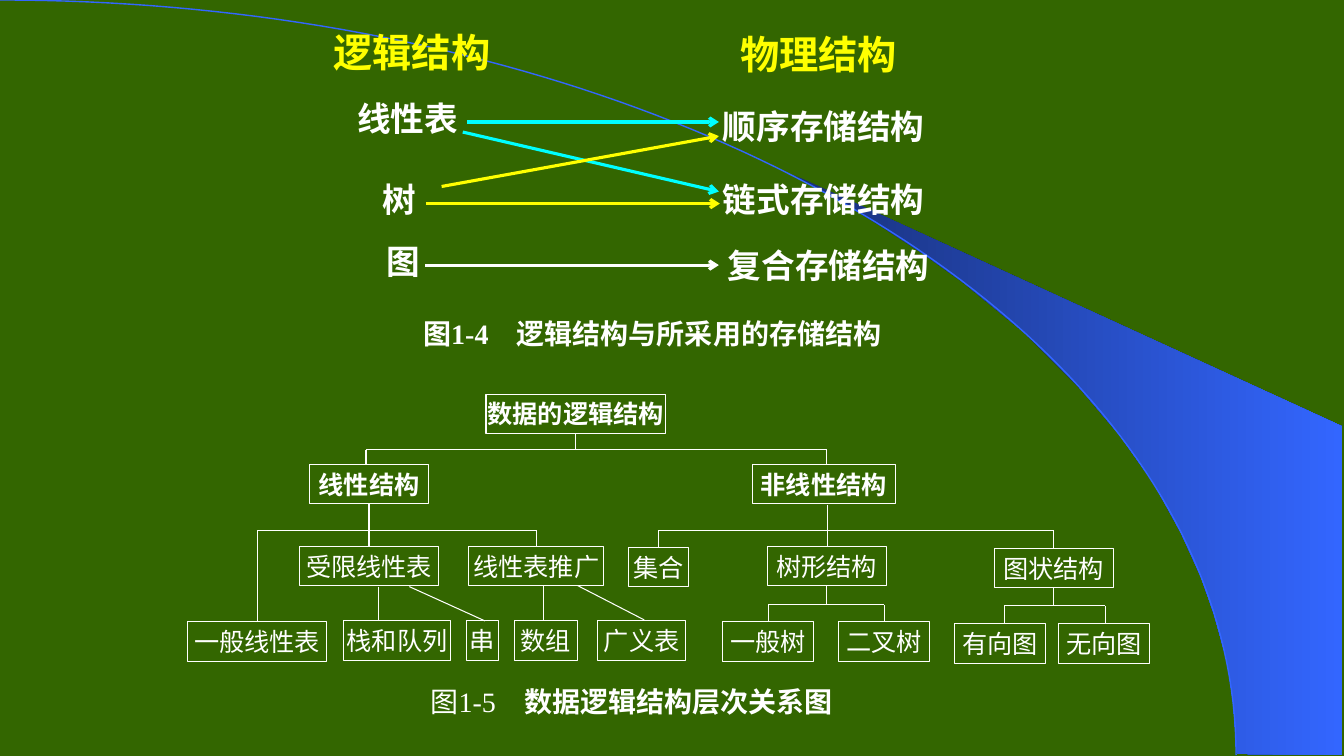
import math

import lxml.etree
import pptx
import pptx.dml.color
import pptx.enum.shapes
import pptx.enum.text
import pptx.oxml.ns
import pptx.util

PX = 9144  # one px is a hundredth of an inch
LATIN, HAN = "Times New Roman", "Noto Sans CJK SC"
COLORS = {
    "green": "336600", "navy": "182F76", "blue": "3366FF",
    "white": "FFFFFF", "yellow": "FFFF00", "cyan": "00FFFF",
}
WEDGE = [
    (1227, 748), (1331, 749), (1331, 423), (786, 173), (832, 199), (870, 222),
    (913, 250), (955, 280), (1016, 330), (1070, 384), (1110, 431), (1144, 479),
    (1171, 528), (1191, 572), (1204, 609), (1217, 656), (1223, 696),
]
HEADS = [("逻辑结构", 325, 26, 167), ("物理结构", 733, 28, 158)]
LABELS = [
    ("线性表", 338, 96, 133, 42), ("树", 355, 176, 83, 42), ("图", 363, 238, 75, 42),
    ("顺序存储结构", 717, 100, 200, 50), ("链式存储结构", 717, 173, 200, 50),
    ("复合存储结构", 722, 238, 200, 50),
]
ARROWS = [
    ((463, 121), (713, 121), "cyan"), ((459, 131), (713, 190), "cyan"),
    ((438, 185), (713, 135), "yellow"), ((423, 202), (714, 202), "yellow"),
    ((422, 263), (713, 263), "white"),
]
TOP_BOXES = [
    ("数据的逻辑结构", 482, 391, 178), ("线性结构", 307, 461, 118),
    ("非线性结构", 746, 461, 142),
]
LOW_BOXES = [
    ("受限线性表", 297, 542, 138), ("线性表推广", 465, 542, 134), ("集合", 623, 543, 60),
    ("树形结构", 761, 542, 118), ("图状结构", 986, 544, 118),
    ("一般线性表", 186, 617, 138), ("栈和队列", 341, 616, 106), ("串", 463, 616, 31),
    ("数组", 510, 616, 63), ("广义表", 593, 616, 87), ("一般树", 717, 617, 90),
    ("二叉树", 832, 617, 90), ("有向图", 947, 619, 90), ("无向图", 1050, 619, 90),
]
# An end is a point, or the name of a box: lines leave its foot and reach its top.
WIRES = [
    ("数据的逻辑结构", (571, 446)), ((363, 446), (820, 446)),
    ((363, 446), (363, 461)), ((820, 446), (820, 461)),
    ("线性结构", "受限线性表"), ((255, 526), (532, 526)),
    ((255, 526), "一般线性表"), ((532, 526), "线性表推广"),
    ((375, 582), (375, 616)), ((406, 582), (481, 616)),
    ((539, 581), (539, 615)), ((573, 581), (639, 615)),
    ((821, 501), (821, 542)), ((653, 526), (1045, 526)),
    ((653, 526), "集合"), ((1045, 526), "图状结构"),
    ("树形结构", (820, 600)), ((762, 600), (877, 600)),
    ((762, 600), "一般树"), ((877, 600), "二叉树"),
    ("图状结构", (1045, 601)), ((996, 601), (1096, 601)),
    ((996, 601), (996, 618)), ((1096, 601), (1096, 618)),
]


def color(name):
    return pptx.dml.color.RGBColor.from_string(COLORS[name])


def add_xml(parent, tag, **attrs):
    lxml.etree.SubElement(parent, pptx.oxml.ns.qn(tag), **attrs)


def set_line(line, hue, width):
    line.color.rgb = color(hue)
    line.width = pptx.util.Pt(width)


def set_text(shape, runs, size, bold=None, hue="white", wrap=False):
    """Fill a shape with one centred line made of (text, font, bold) runs."""
    frame = shape.text_frame
    frame.word_wrap = wrap
    frame.vertical_anchor = pptx.enum.text.MSO_ANCHOR.MIDDLE
    if not wrap:
        frame.margin_left = frame.margin_right = 0
        frame.margin_top = frame.margin_bottom = 0
    para = frame.paragraphs[0]
    para.alignment = pptx.enum.text.PP_ALIGN.CENTER
    para.font.size = pptx.util.Pt(size)
    para.font.bold = bold
    para.font.color.rgb = color(hue)
    para.font.name = LATIN
    add_xml(para._p.pPr.find(pptx.oxml.ns.qn("a:defRPr")), "a:ea", typeface=HAN)
    for text, font, heavy in runs:
        run = para.add_run()
        run.text = text
        if font:
            run.font.name = font
        if heavy:
            run.font.bold = True


def add_label(slide, text, x, y, w, h, size, hue="white"):
    box = slide.shapes.add_textbox(x * PX, y * PX, w * PX, h * PX)
    set_text(box, [(text, None, None)], size, True, hue)


def add_caption(slide, number, title, x, y, w, h, bold=None):
    box = slide.shapes.add_textbox(x * PX, y * PX, w * PX, h * PX)
    runs = [("图", HAN, None), (number, LATIN, None), ("　" + title, HAN, True)]
    set_text(box, runs, 20, bold, wrap=True)


def add_box(slide, text, x, y, w, bold=None):
    kind = pptx.enum.shapes.MSO_SHAPE.RECTANGLE
    box = slide.shapes.add_shape(kind, x * PX, y * PX, w * PX, 39 * PX)
    box.shadow.inherit = False
    box.fill.background()
    set_line(box.line, "white", 0.75)
    set_text(box, [(text, None, None)], 18, bold)
    return box


def add_line(slide, start, end, boxes, hue="white", width=0.75, arrow=False):
    first = start if isinstance(start, tuple) else (0, 0)
    last = end if isinstance(end, tuple) else (0, 0)
    kind = pptx.enum.shapes.MSO_CONNECTOR.STRAIGHT
    line = slide.shapes.add_connector(kind, *(n * PX for n in first + last))
    if start in boxes:
        line.begin_connect(boxes[start], 2)
    if end in boxes:
        line.end_connect(boxes[end], 0)
    set_line(line.line, hue, width)
    if arrow:
        add_xml(line.line._get_or_add_ln(), "a:tailEnd", type="arrow")
    add_xml(line._element.spPr, "a:effectLst")


def add_outline(slide, points, close):
    points = [(x * PX, y * PX) for x, y in points]
    maker = slide.shapes.build_freeform(*points[0])
    maker.add_line_segments(points[1:], close=close)
    shape = maker.convert_to_shape()
    shape.shadow.inherit = False
    return shape


def add_backdrop(slide):
    fill = slide.background.fill
    fill.solid()
    fill.fore_color.rgb = color("green")

    wedge = add_outline(slide, WEDGE, True)
    wedge.line.fill.background()
    wedge.fill.gradient()
    wedge.fill.gradient_angle = 0
    for stop, hue, place in zip(wedge.fill.gradient_stops, ("navy", "blue"), (0, 1)):
        stop.color.rgb = color(hue)
        stop.position = place

    steps = 90
    turns = [math.pi / 2 * i / steps for i in range(steps + 1)]
    curve = [(1226 * math.sin(t), 749 * (1 - math.cos(t))) for t in turns]
    arc = add_outline(slide, curve, False)
    arc.fill.background()
    set_line(arc.line, "blue", 1)


def main():
    deck = pptx.Presentation()
    deck.slide_width, deck.slide_height = 1333 * PX, 750 * PX
    slide = deck.slides.add_slide(deck.slide_layouts[6])
    add_backdrop(slide)

    boxes = {row[0]: add_box(slide, *row, bold=True) for row in TOP_BOXES}
    boxes.update({row[0]: add_box(slide, *row) for row in LOW_BOXES})
    for start, end in WIRES:
        add_line(slide, start, end, boxes)
    add_caption(slide, "1-5", "数据逻辑结构层次关系图", 396, 671, 461, 50)

    add_caption(slide, "1-4", "逻辑结构与所采用的存储结构", 397, 310, 500, 42, True)
    for row in LABELS:
        add_label(slide, *row, 24)
    for row in HEADS:
        add_label(slide, *row, 50, 28, "yellow")
    for start, end, hue in ARROWS:
        add_line(slide, start, end, boxes, hue, 2.25, True)
    deck.save("out.pptx")


if __name__ == "__main__":
    main()
